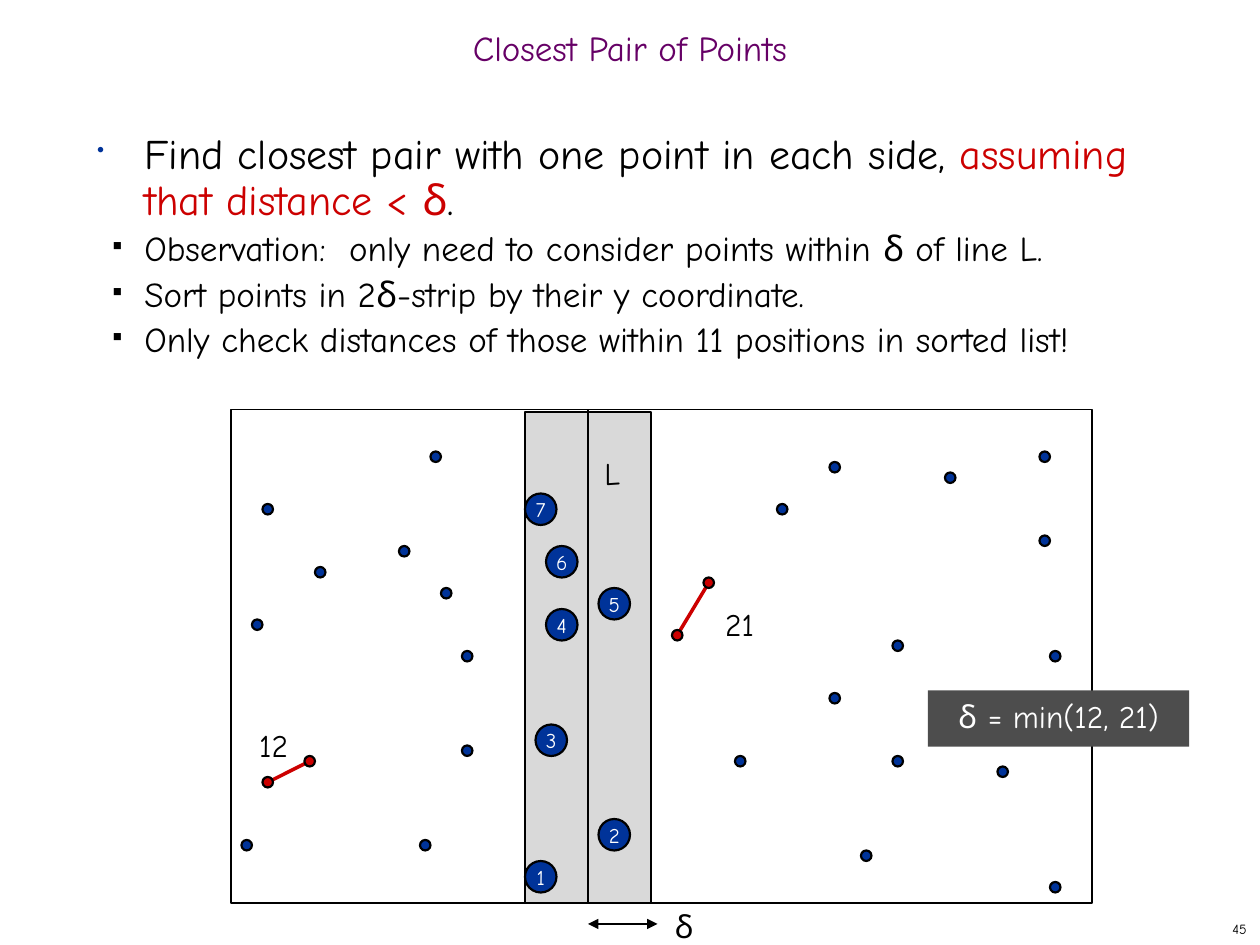
from dataclasses import dataclass

from lxml import etree
from pptx import Presentation
from pptx.dml.color import RGBColor
from pptx.enum.shapes import MSO_CONNECTOR, MSO_SHAPE
from pptx.enum.text import MSO_ANCHOR, MSO_AUTO_SIZE, PP_ALIGN
from pptx.oxml.ns import qn
from pptx.util import Emu, Pt

PX = 9525  # 96 px to the inch
GRID = 8   # the points lie on a grid of 8 px
DOT = 8
MARKER = 24

STRAIGHT = MSO_CONNECTOR.STRAIGHT
RECTANGLE, OVAL = MSO_SHAPE.RECTANGLE, MSO_SHAPE.OVAL
LEFT, CENTER, RIGHT = PP_ALIGN.LEFT, PP_ALIGN.CENTER, PP_ALIGN.RIGHT
TOP, MIDDLE = MSO_ANCHOR.TOP, MSO_ANCHOR.MIDDLE
BOTTOM_SIDE = 2


@dataclass(frozen=True)
class Theme:
    font: str = "Comic Neue"
    black: str = "000000"
    white: str = "FFFFFF"
    purple: str = "660066"
    blue: str = "003399"
    red: str = "CC0000"
    strip: str = "D9D9D9"
    callout: str = "4D4D4D"
    lead: int = 24
    body: int = 20
    label: int = 18
    marker: int = 12
    footer: int = 8


THEME = Theme()

# Grid positions (column, row) of the upper left corner of each point
POINTS = [
    (30, 54), (44, 71), (25, 48), (38, 52), (41, 43), (42, 56), (24, 59),
    (44, 62), (23, 80), (40, 80), (74, 48), (79, 44), (85, 61), (99, 51),
    (90, 45), (70, 72), (99, 43), (79, 66), (82, 81), (100, 62), (85, 72),
    (95, 73), (100, 84),
]
STRIP_POINTS = [(50, 82), (57, 78), (51, 69), (52, 58), (57, 56), (52, 52), (50, 47)]
CLOSEST_PAIRS = [
    ((29, 72), (25, 74), "12", (182, 548)),
    ((67, 55), (64, 60), "21", (537, 456)),
]
LABEL_SIZE = (53, 43)

LEAD = [
    ("Find closest pair with one point in each side, ", THEME.black),
    ("assuming that distance < δ", THEME.red),
    (".", THEME.black),
]
STEPS = [
    "Observation:  only need to consider points within δ of line L.",
    "Sort points in 2δ-strip by their y coordinate.",
    "Only check distances of those within 11 positions in sorted list!",
]


def emu(*lengths):
    return [Emu(length * PX) for length in lengths]


def rgb(color):
    return RGBColor.from_string(color)


class SlideBuilder:
    def __init__(self, slide, theme):
        self.slide = slide
        self.theme = theme

    def style(self, paragraph, size, color, align=LEFT):
        paragraph.alignment = align
        font = paragraph.font
        font.name, font.size = self.theme.font, Pt(size)
        font.color.rgb = rgb(color)

    def frame(self, shape, anchor=TOP, margins=(10, 5, 10, 5)):
        """Set up the text frame of a shape and return it."""
        frame = shape.text_frame
        frame.word_wrap = True
        frame.auto_size = MSO_AUTO_SIZE.NONE
        frame.vertical_anchor = anchor
        (frame.margin_left, frame.margin_top,
         frame.margin_right, frame.margin_bottom) = emu(*margins)
        return frame

    def set_text(self, shape, text, size, color, align=CENTER, **frame_options):
        paragraph = self.frame(shape, **frame_options).paragraphs[0]
        paragraph.text = text
        self.style(paragraph, size, color, align)
        return paragraph

    def title(self, text, box):
        title = self.slide.shapes.title
        title.left, title.top, title.width, title.height = emu(*box)
        paragraph = self.set_text(title, text, self.theme.body, self.theme.purple, anchor=MIDDLE)
        paragraph.line_spacing = 0.7

    def label(self, text, box, size, **options):
        textbox = self.slide.shapes.add_textbox(*emu(*box))
        self.set_text(textbox, text, size, self.theme.black, **options)

    def shape(self, kind, box, fill=None, line=None):
        shape = self.slide.shapes.add_shape(kind, *emu(*box))
        shape.shadow.inherit = False
        if fill:
            shape.fill.solid()
            shape.fill.fore_color.rgb = rgb(fill)
        else:
            shape.fill.background()
        if line:
            shape.line.color.rgb = rgb(self.theme.black)
            shape.line.width = Pt(line)
        else:
            shape.line.fill.background()
        return shape

    def dot(self, cell, color, size=DOT):
        column, row = cell
        return self.shape(OVAL, (column * GRID, row * GRID, size, size), color, 1.25)

    def line(self, start, end, color, width, arrows=False):
        connector = self.slide.shapes.add_connector(STRAIGHT, *emu(*start, *end))
        connector.line.color.rgb = rgb(color)
        connector.line.width = Pt(width)
        if arrows:
            outline = connector._element.spPr.find(qn("a:ln"))
            for tag in ("a:headEnd", "a:tailEnd"):
                etree.SubElement(outline, qn(tag), type="triangle")
        etree.SubElement(connector._element.spPr, qn("a:effectLst"))
        return connector

    def bullet(self, paragraph, runs, size, char, color, percent, hanging):
        """Fill a paragraph with (text, color) runs behind a hanging bullet."""
        paragraph.line_spacing = Pt(26)
        properties = paragraph._p.get_or_add_pPr()
        properties.set("marL", str(36 * PX))
        properties.set("indent", str(-hanging * PX))
        bullet_color = etree.SubElement(properties, qn("a:buClr"))
        etree.SubElement(bullet_color, qn("a:srgbClr"), val=color)
        etree.SubElement(properties, qn("a:buSzPct"), val=str(percent * 1000))
        etree.SubElement(properties, qn("a:buChar"), char=char)
        self.style(paragraph, size, self.theme.black)
        for text, run_color in runs:
            run = paragraph.add_run()
            run.text = text
            if run_color != self.theme.black:
                run.font.color.rgb = rgb(run_color)

    def body(self, box):
        theme = self.theme
        frame = self.frame(self.slide.shapes.add_textbox(*emu(*box)))
        self.bullet(frame.paragraphs[0], LEAD, theme.lead, "•", theme.blue, 50, 36)
        for step in STEPS:
            self.bullet(frame.add_paragraph(), [(step, theme.black)],
                        theme.body, "■", theme.black, 35, 24)

    def closest_pair(self, first, second, distance, position):
        centers = [[index * GRID + DOT // 2 for index in cell] for cell in (first, second)]
        self.line(*centers, self.theme.red, 2)
        for cell in (first, second):
            self.dot(cell, self.theme.red)
        self.label(distance, (*position, *LABEL_SIZE), self.theme.label)


def main():
    presentation = Presentation()
    presentation.slide_width, presentation.slide_height = emu(960, 720)
    slide = presentation.slides.add_slide(presentation.slide_layouts[5])
    builder = SlideBuilder(slide, THEME)

    builder.title("Closest Pair of Points", (0, 16, 960, 48))
    builder.label("45", (760, 696, 200, 24), THEME.footer, align=RIGHT, anchor=MIDDLE)

    builder.shape(RECTANGLE, (176, 312, 656, 376), line=1)
    strip = builder.shape(RECTANGLE, (400, 314, 96, 374), THEME.strip, 1)
    for cell in POINTS:
        builder.dot(cell, THEME.blue)
    divider = builder.line((448, 312), (448, 688), THEME.black, 1)
    divider.end_connect(strip, BOTTOM_SIDE)
    for pair in CLOSEST_PAIRS:
        builder.closest_pair(*pair)
    for number, cell in enumerate(STRIP_POINTS, start=1):
        marker = builder.dot(cell, THEME.blue, MARKER)
        builder.set_text(marker, str(number), THEME.marker, THEME.white,
                         anchor=MIDDLE, margins=(0, 0, 0, 0))

    builder.line((448, 704), (501, 704), THEME.black, 0.75, arrows=True)
    builder.label("δ", (504, 686, 32, 34), THEME.label, margins=(10, 5, 10, 0))
    builder.body((64, 96, 824, 568))
    builder.label("L", (440, 341, *LABEL_SIZE), THEME.label)
    callout = builder.shape(RECTANGLE, (707, 526, 199, 43), THEME.callout)
    builder.set_text(callout, "δ = min(12, 21)", THEME.label, THEME.white)

    presentation.save("out.pptx")


if __name__ == "__main__":
    main()
